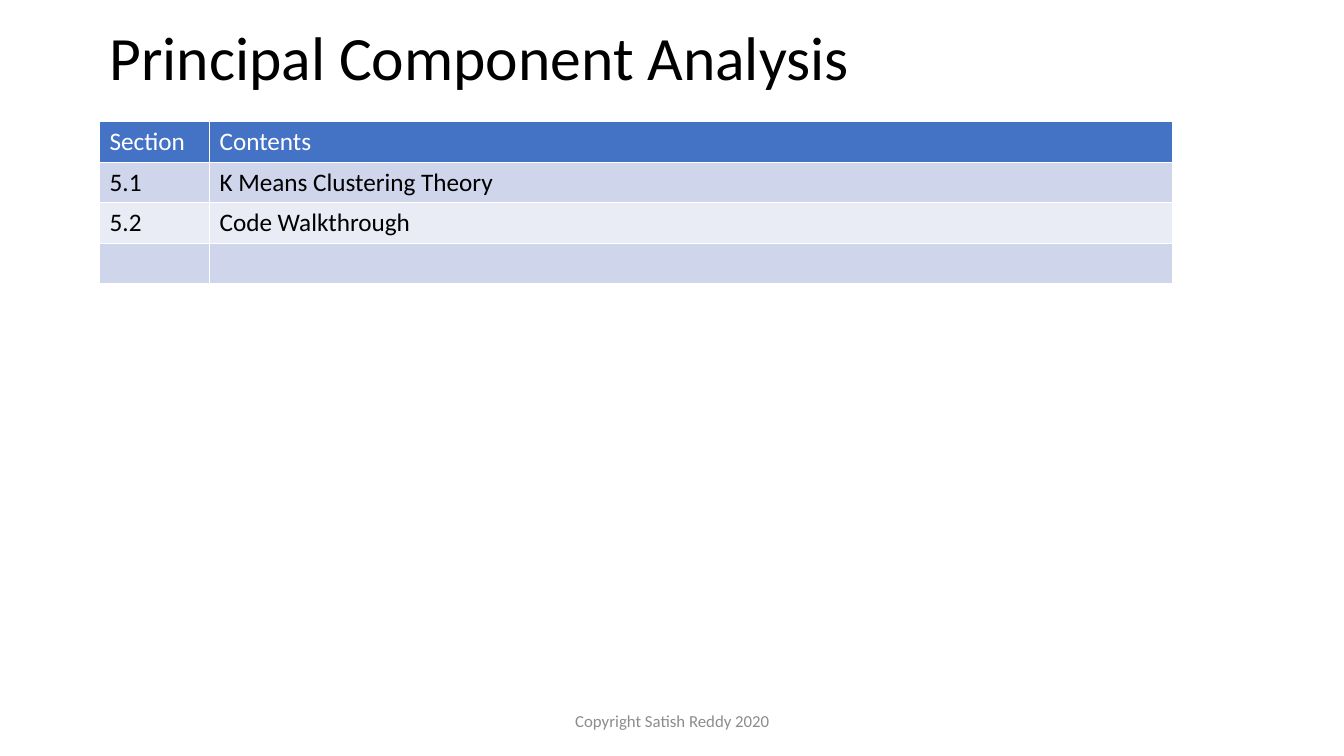
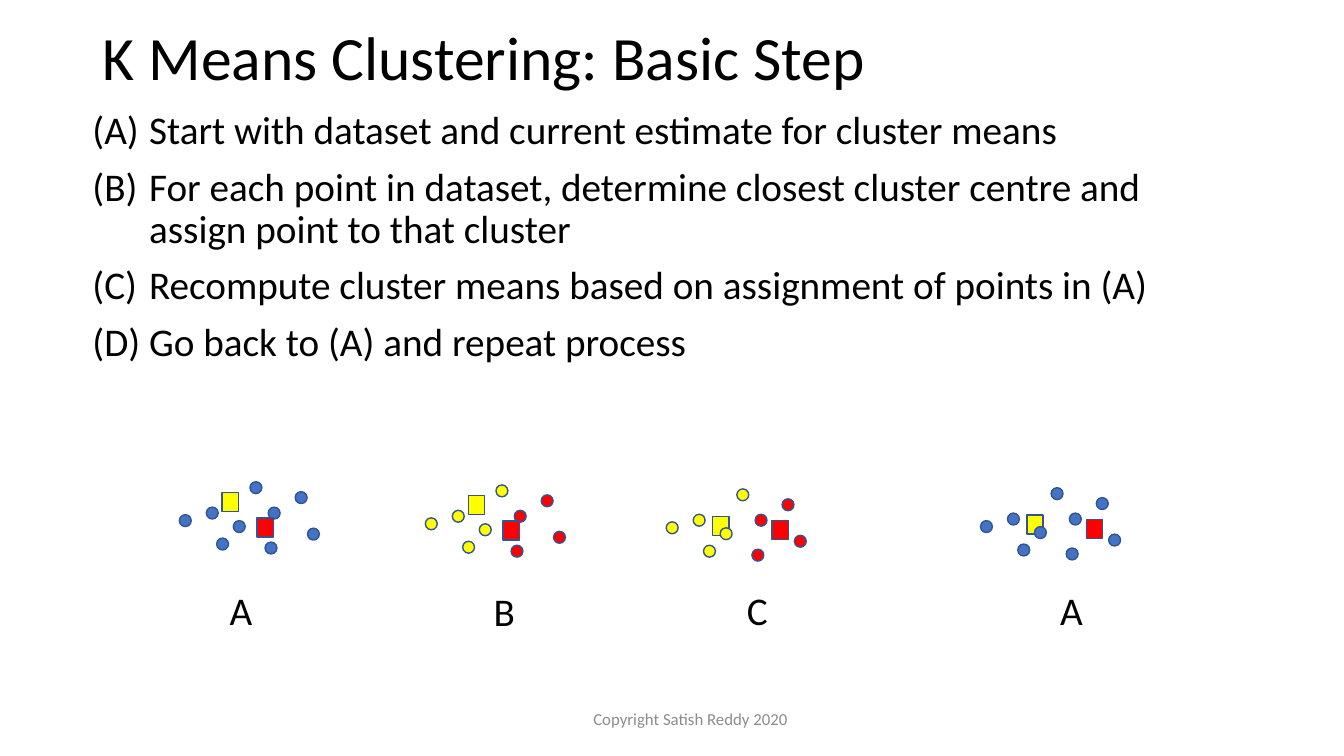
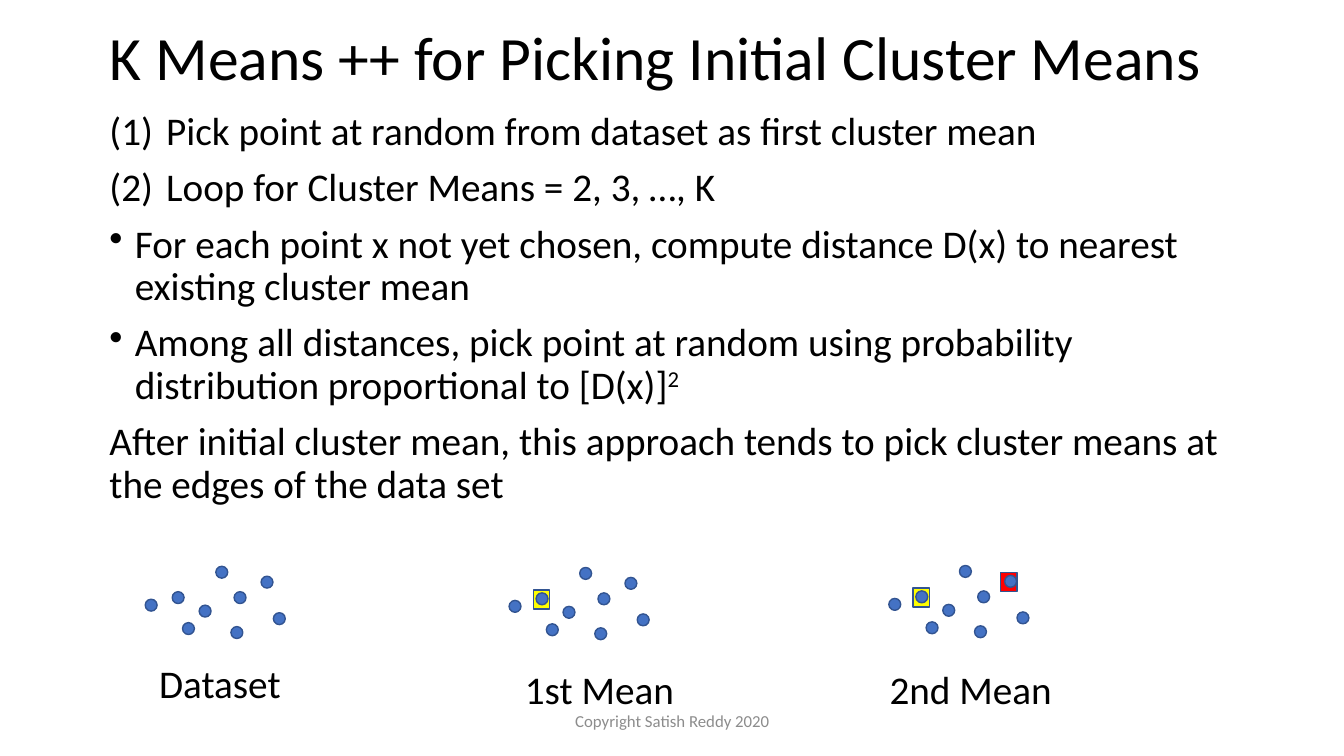
"""Build three slides on K means clustering."""
from dataclasses import dataclass
from typing import Any, NamedTuple, Optional

import lxml.etree
import pptx
import pptx.dml.color
import pptx.enum.shapes
import pptx.enum.text
import pptx.oxml.ns
import pptx.slide
import pptx.util

Cm = pptx.util.Cm
Pt = pptx.util.Pt
ALIGN = pptx.enum.text.PP_ALIGN
ANCHOR = pptx.enum.text.MSO_ANCHOR
SHAPE = pptx.enum.shapes.MSO_SHAPE


@dataclass(frozen=True)
class Theme:
    font: str = "Calibri"
    title_size: float = 44
    body_size: float = 28
    table_size: float = 18
    footer_size: float = 12
    ink: str = "000000"
    paper: str = "FFFFFF"
    footer: str = "8C8C8C"
    blue: str = "4472C4"
    outline: str = "325491"
    red: str = "FF0000"
    yellow: str = "FFFF00"
    bands: tuple[str, str] = ("CFD5EA", "E9EBF5")
    line_spacing: float = 0.9
    space_before: float = 10


THEME = Theme()


class Frame(NamedTuple):
    left: float
    top: float
    width: float
    height: float


class Point(NamedTuple):
    x: float
    y: float


@dataclass(frozen=True)
class Line:
    text: str
    marker: str = ""
    indent: float = 0
    raised: str = ""


@dataclass(frozen=True)
class Mean:
    at: Point
    color: str
    in_front: bool = False


@dataclass(frozen=True)
class Cluster:
    origin: Point
    label: str
    label_frame: Frame
    means: tuple[Mean, ...] = ()
    assigned: bool = False


FOOTER_TEXT = "Copyright Satish Reddy 2020"
FOOTER = Frame(11.23, 17.65, 11.43, 1.02)
WIDE_FOOTER = Frame(8.74, 17.6, 17.32, 1.02)
DOT_SIZE = 0.3
MEAN_SIZE = Point(0.41, 0.48)
YELLOW_COUNT = 5
DOTS = (
    Point(0.68, 0.64), Point(0, 0.83), Point(1.36, 0.98),
    Point(0.94, 1.42), Point(1.78, 0), Point(2.24, 0.64),
    Point(2.16, 1.52), Point(2.92, 0.25), Point(3.23, 1.17),
)
START_MEANS = (
    Mean(Point(1.96, 0.91), THEME.red, True),
    Mean(Point(1.08, 0.27), THEME.yellow, True),
)
MOVED_MEANS = (
    Mean(Point(1.17, 0.69), THEME.yellow),
    Mean(Point(2.67, 0.8), THEME.red, True),
)
FIRST_PICK = Mean(Point(0.61, 0.57), THEME.yellow)
SECOND_PICK = Mean(Point(2.82, 0.18), THEME.red)

CONTENTS = (("Section", "Contents"), ("5.1", "K Means Clustering Theory"),
            ("5.2", "Code Walkthrough"), ("", ""))
COLUMN_WIDTHS = (2.77, 24.28)
ROW_HEIGHT = 1.02

STEP = "alphaUcParenBoth"
NUMBER = "arabicParenBoth"
BASIC_STEPS = tuple(Line(text, STEP, 1.43) for text in (
    "Start with dataset and current estimate for cluster means",
    "For each point in dataset, determine closest cluster centre and assign point to that cluster",
    "Recompute cluster means based on assignment of points in (A)",
    "Go back to (A) and repeat process",
))
PICKING_STEPS = (
    Line("Pick point at random from dataset as first cluster mean", NUMBER, 1.43),
    Line("Loop for Cluster Means = 2, 3, …, K", NUMBER, 1.43),
    Line("For each point x not yet chosen, compute distance D(x) to nearest existing cluster mean",
         "•", 0.64),
    Line("Among all distances, pick point at random using probability distribution proportional to [D(x)]",
         "•", 0.64, "2"),
    Line("After initial cluster mean, this approach tends to pick cluster means at the edges of the data set"),
)
STEP_CLUSTERS = (
    Cluster(Point(4.52, 12.14), "A", Frame(5.54, 14.66, 1.22, 1.47), START_MEANS),
    Cluster(Point(10.72, 12.22), "B", Frame(12.19, 14.68, 1.22, 1.47), START_MEANS, True),
    Cluster(Point(16.79, 12.32), "C", Frame(18.57, 14.66, 1.22, 1.47), MOVED_MEANS, True),
    Cluster(Point(24.71, 12.29), "A", Frame(26.47, 14.66, 1.22, 1.47), MOVED_MEANS),
)
PICK_CLUSTERS = (
    Cluster(Point(3.66, 14.27), "Dataset", Frame(3.76, 16.48, 3.73, 1.45)),
    Cluster(Point(12.83, 14.3), "1st Mean", Frame(12.98, 16.64, 5.38, 1.45), (FIRST_PICK,)),
    Cluster(Point(22.4, 14.25), "2nd Mean", Frame(22.17, 16.64, 4.8, 1.45),
            (FIRST_PICK, SECOND_PICK)),
)


def rgb(value: str) -> pptx.dml.color.RGBColor:
    return pptx.dml.color.RGBColor.from_string(value)


def write(para: Any, text: str, *, size: float = THEME.body_size, color: str = THEME.ink,
          align: Optional[Any] = None, spacing: Optional[float] = None,
          raised: bool = False) -> None:
    if align is not None:
        para.alignment = align
    if spacing is not None:
        para.line_spacing = spacing
    span = para.add_run()
    span.text = text
    span.font.name = THEME.font
    span.font.size = Pt(size)
    span.font.bold = False
    span.font.color.rgb = rgb(color)
    if raised:
        span.font._element.set("baseline", "30000")


def add_box(page: pptx.slide.Slide, frame: Frame, anchor: Any = ANCHOR.TOP) -> Any:
    box = page.shapes.add_textbox(*(Cm(length) for length in frame))
    box.text_frame.word_wrap = True
    box.text_frame.vertical_anchor = anchor
    return box.text_frame


def set_marker(para: Any, marker: str, indent: float) -> None:
    properties = para._p.get_or_add_pPr()
    properties.set("marL", str(Cm(indent)))
    properties.set("indent", str(-Cm(indent)))
    tag, key = ("a:buChar", "char") if marker == "•" else ("a:buAutoNum", "type")
    lxml.etree.SubElement(properties, pptx.oxml.ns.qn(tag)).set(key, marker)


def add_body(page: pptx.slide.Slide, frame: Frame, lines: tuple[Line, ...]) -> None:
    body = add_box(page, frame)
    for index, line in enumerate(lines):
        para = body.add_paragraph() if index else body.paragraphs[0]
        para.space_before = Pt(THEME.space_before)
        write(para, line.text, spacing=THEME.line_spacing)
        if line.raised:
            write(para, line.raised, raised=True)
        if line.marker:
            set_marker(para, line.marker, line.indent)


def add_page(deck: Any, title: str, title_left: float, title_width: float,
             footer: Frame = FOOTER) -> pptx.slide.Slide:
    page = deck.slides.add_slide(deck.slide_layouts[6])
    heading = add_box(page, Frame(title_left, 0.3, title_width, 2.46), ANCHOR.MIDDLE)
    write(heading.paragraphs[0], title, size=THEME.title_size, spacing=THEME.line_spacing)
    note = add_box(page, footer, ANCHOR.MIDDLE)
    write(note.paragraphs[0], FOOTER_TEXT, size=THEME.footer_size, color=THEME.footer,
          align=ALIGN.CENTER)
    return page


def add_contents(page: pptx.slide.Slide) -> None:
    table = page.shapes.add_table(
        len(CONTENTS), len(COLUMN_WIDTHS), Cm(2.51), Cm(3.07),
        Cm(sum(COLUMN_WIDTHS)), Cm(ROW_HEIGHT * len(CONTENTS))).table
    for column, width in zip(table.columns, COLUMN_WIDTHS):
        column.width = Cm(width)
    for row, texts in enumerate(CONTENTS):
        fill = THEME.bands[(row - 1) % 2] if row else THEME.blue
        for column, text in enumerate(texts):
            cell = table.cell(row, column)
            cell.fill.solid()
            cell.fill.fore_color.rgb = rgb(fill)
            if text:
                write(cell.text_frame.paragraphs[0], text, size=THEME.table_size,
                      color=THEME.ink if row else THEME.paper)


def add_mark(group: Any, kind: Any, origin: Point, offset: Point, size: Point,
             color: str) -> None:
    mark = group.shapes.add_shape(kind, Cm(origin.x + offset.x), Cm(origin.y + offset.y),
                                  Cm(size.x), Cm(size.y))
    mark.shadow.inherit = False
    mark.fill.solid()
    mark.fill.fore_color.rgb = rgb(color)
    mark.line.color.rgb = rgb(THEME.outline)
    mark.line.width = Pt(1)


def add_means(group: Any, cluster: Cluster, in_front: bool) -> None:
    for mean in cluster.means:
        if mean.in_front == in_front:
            add_mark(group, SHAPE.RECTANGLE, cluster.origin, mean.at, MEAN_SIZE, mean.color)


def add_cluster(page: pptx.slide.Slide, cluster: Cluster) -> None:
    group = page.shapes.add_group_shape()
    add_means(group, cluster, False)
    for index, dot in enumerate(DOTS):
        color = THEME.blue
        if cluster.assigned:
            color = THEME.yellow if index < YELLOW_COUNT else THEME.red
        add_mark(group, SHAPE.OVAL, cluster.origin, dot, Point(DOT_SIZE, DOT_SIZE), color)
    add_means(group, cluster, True)
    write(add_box(page, cluster.label_frame).paragraphs[0], cluster.label)


def main() -> None:
    deck = pptx.Presentation()
    deck.slide_width = Cm(33.87)
    deck.slide_height = Cm(19.05)

    add_contents(add_page(deck, "Principal Component Analysis", 2.51, 24.33))

    page = add_page(deck, "K Means Clustering: Basic Step", 2.34, 29.21, WIDE_FOOTER)
    add_body(page, Frame(2.08, 2.67, 29.21, 7.09), BASIC_STEPS)
    for cluster in STEP_CLUSTERS:
        add_cluster(page, cluster)

    page = add_page(deck, "K Means ++ for Picking Initial Cluster Means", 2.51, 30.45)
    add_body(page, Frame(2.51, 2.69, 29.18, 13.92), PICKING_STEPS)
    for cluster in PICK_CLUSTERS:
        add_cluster(page, cluster)

    deck.save("out.pptx")


if __name__ == "__main__":
    main()
